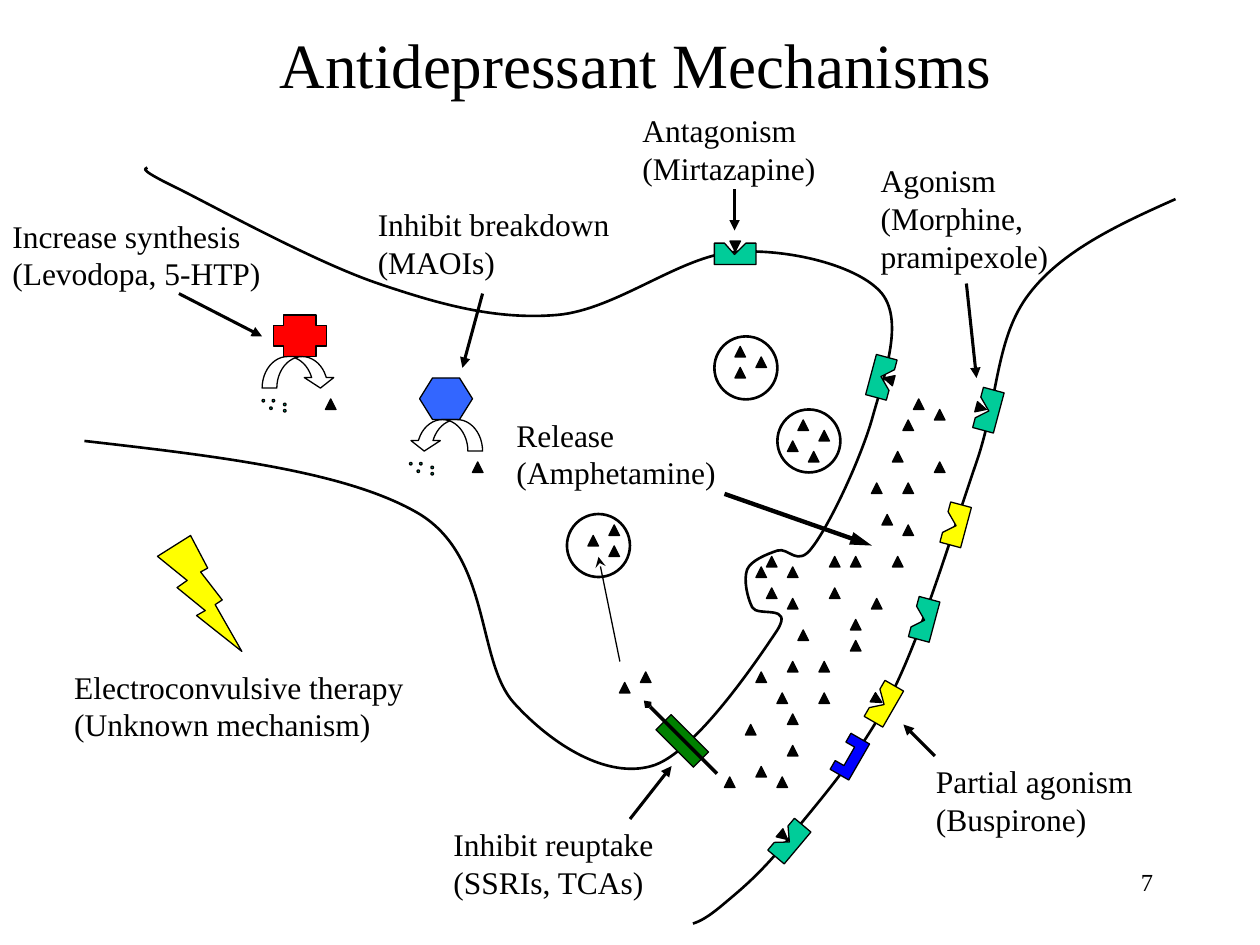
from math import cos, radians, sin

from lxml import etree
from pptx import Presentation
from pptx.dml.color import RGBColor
from pptx.enum.shapes import MSO_CONNECTOR, MSO_SHAPE
from pptx.enum.text import MSO_ANCHOR, PP_ALIGN
from pptx.oxml.ns import qn
from pptx.util import Inches, Pt

STRAIGHT = MSO_CONNECTOR.STRAIGHT
OVAL = MSO_SHAPE.OVAL
TRIANGLE = MSO_SHAPE.ISOSCELES_TRIANGLE
CURVED_ARROW = MSO_SHAPE.CURVED_UP_ARROW
LEFT, CENTER, RIGHT = PP_ALIGN.LEFT, PP_ALIGN.CENTER, PP_ALIGN.RIGHT
TOP, MIDDLE = MSO_ANCHOR.TOP, MSO_ANCHOR.MIDDLE

FONT = "Times New Roman"
COLORS = {
    "black": "000000", "white": "FFFFFF", "teal": "00CC99", "yellow": "FFFF00",
    "blue": "0000FF", "sky": "3366FF", "red": "FF0000", "green": "008000",
}
GRID = 1 / 12  # transmitters sit on a grid of twelfths of an inch
RECEPTOR_SIZE = (0.33, 0.17)

# Each membrane: a start point, then three points per Bezier segment
PRESYNAPTIC = [
    (0.67, 3.5),
    (1.72, 3.62), (2.76, 3.74), (3.33, 4.08), (3.9, 4.43), (3.78, 5.25), (4.08, 5.58),
    (4.39, 5.92), (4.82, 6.18), (5.17, 6.08), (5.51, 5.99), (6.03, 5.21), (6.17, 5),
    (6.3, 4.79), (6.01, 4.9), (5.97, 4.82), (5.93, 4.74), (5.9, 4.6), (5.93, 4.52),
    (5.96, 4.45), (6.08, 4.4), (6.17, 4.37), (6.26, 4.34), (6.33, 4.51), (6.45, 4.34),
    (6.58, 4.17), (6.82, 3.67), (6.92, 3.33), (7.01, 3), (7.18, 2.56), (7, 2.33),
    (6.82, 2.11), (6.26, 1.97), (5.83, 2), (5.4, 2.03), (4.89, 2.46), (4.42, 2.5),
    (3.94, 2.54), (3.5, 2.42), (3, 2.25), (2.5, 2.08), (1.72, 1.65), (1.42, 1.5),
    (1.11, 1.35), (1.14, 1.34), (1.17, 1.33),
]
POSTSYNAPTIC = [
    (9.33, 1.58),
    (8.88, 1.78), (8.43, 1.99), (8.17, 2.33), (7.9, 2.68), (7.93, 3.14), (7.75, 3.67),
    (7.57, 4.19), (7.33, 5), (7.08, 5.5), (6.83, 6), (6.47, 6.39), (6.25, 6.67),
    (6.03, 6.94), (5.88, 7.06), (5.75, 7.17), (5.62, 7.28), (5.56, 7.31), (5.5, 7.33),
]

VESICLES = [(4.5, 4.08), (5.67, 2.67), (6.17, 3.25)]

# Column and row on the grid
TRANSMITTERS = [
    # in the vesicles
    (58, 52), (56, 51), (58, 50), (70, 35), (72, 34), (70, 33),
    (75, 42), (76, 40), (77, 43), (78, 41),
    # inside the neuron
    (61, 64), (59, 65), (31, 38), (45, 44),
    # in the synaptic cleft
    (75, 54), (72, 54), (75, 68), (69, 74), (81, 53), (78, 66), (84, 49),
    (86, 46), (89, 39), (83, 57), (74, 74), (76, 60), (79, 56), (85, 53),
    (73, 56), (73, 53), (75, 63), (79, 53), (75, 57), (89, 44), (71, 69),
    (83, 46), (81, 61), (81, 59), (74, 66), (75, 71), (86, 40), (86, 50),
    (78, 63), (72, 64), (72, 73), (85, 43), (87, 38),
]

# Receptor outlines, notch at the top
NOTCHED = [(0, 0), (0.08, 0), (0.16, 0.09), (0.25, 0), (0.33, 0),
           (0.33, 0.17), (0, 0.17)]
BRACKET = [(0, 0), (0.08, 0), (0.08, 0.08), (0.25, 0.08), (0.25, 0),
           (0.33, 0), (0.33, 0.17), (0, 0.17)]

# Left, top, rotation, color, outline, transmitter bound
RECEPTORS = [
    (5.67, 1.93, 0, "teal", NOTCHED, True),
    (6.85, 5.5, 300, "yellow", NOTCHED, True),
    (6.1, 6.59, 310, "teal", NOTCHED, True),
    (7.68, 3.17, 285, "teal", NOTCHED, True),
    (7.42, 4.08, 285, "yellow", NOTCHED, False),
    (6.58, 5.92, 300, "blue", BRACKET, False),
    (7.17, 4.83, 285, "teal", NOTCHED, False),
    (6.83, 2.91, 105, "teal", NOTCHED, True),
]

# Precursor specks, relative to the first one
SPECKS = [(0, 0), (0.06, 0.06), (0.17, 0.08), (0.08, 0), (0.17, 0.03)]

# Box, lines
LABELS = [
    ((0, 1.67, 2.17, 0.7), ["Increase synthesis", "(Levodopa, 5-HTP)"]),
    ((2.9, 1.58, 2.04, 0.7), ["Inhibit breakdown", "(MAOIs)"]),
    ((5, 0.83, 1.58, 0.7), ["Antagonism", "(Mirtazapine)"]),
    ((6.89, 1.23, 1.55, 1.01), ["Agonism", "(Morphine,", "pramipexole)"]),
    ((7.33, 6, 1.76, 0.7), ["Partial agonism", "(Buspirone)"]),
    ((4, 3.25, 1.78, 0.7), ["Release", "(Amphetamine)"]),
    ((3.5, 6.5, 1.79, 0.7), ["Inhibit reuptake", "(SSRIs, TCAs)"]),
    ((0.49, 5.25, 2.82, 0.7), ["Electroconvulsive therapy", "(Unknown mechanism)"]),
]

# From, to, width, head, head width, head length
ARROWS = [
    ((5.69, 6.14), (5.11, 5.56), 2, "arrow", "sm", "sm"),
    ((4.92, 5.25), (4.75, 4.42), 0.75, "stealth", "med", "med"),
    ((1.42, 2.33), (2.08, 2.67), 1.75, "triangle", "med", "med"),
    ((3.83, 2.33), (3.67, 2.92), 1.75, "triangle", "med", "med"),
    ((5.83, 1.5), (5.83, 1.83), 1.75, "triangle", "med", "med"),
    ((7.67, 2.25), (7.75, 3), 1.75, "triangle", "med", "med"),
    ((7.42, 6), (7.17, 5.75), 1.75, "triangle", "med", "med"),
    ((5.75, 3.92), (6.92, 4.33), 2.5, "triangle", "med", "lg"),
    ((5, 6.5), (5.33, 6.08), 1.75, "triangle", "med", "med"),
]


def rgb(name):
    return RGBColor.from_string(COLORS[name])


def style(shape, fill=None, width=0.75):
    shape.shadow.inherit = False
    if fill:
        shape.fill.solid()
        shape.fill.fore_color.rgb = rgb(fill)
    else:
        shape.fill.background()
    shape.line.color.rgb = rgb("black")
    shape.line.width = Pt(width)


def add_preset(page, kind, at, fill=None, width=0.75, rotation=0, adjust=()):
    shape = page.shapes.add_shape(kind, *map(Inches, at))
    shape.rotation = rotation
    for index, value in enumerate(adjust):
        shape.adjustments[index] = value
    style(shape, fill, width)
    return shape


def add_outline(page, points, fill=None, width=0.75, close=True):
    start, *rest = [(Inches(x), Inches(y)) for x, y in points]
    builder = page.shapes.build_freeform(*start)
    builder.add_line_segments(rest, close=close)
    shape = builder.convert_to_shape()
    style(shape, fill, width)
    return shape


def add_membrane(page, points):
    shape = add_outline(page, points, width=1.5, close=False)
    # Every three straight segments become one Bezier segment
    segments = list(shape.element.iter(qn("a:lnTo")))
    for index in range(0, len(segments), 3):
        curve = etree.Element(qn("a:cubicBezTo"))
        segments[index].addprevious(curve)
        for segment in segments[index:index + 3]:
            curve.append(segment[0])
            segment.getparent().remove(segment)


def add_transmitter(page, left, top, rotation=0):
    add_preset(page, TRIANGLE, (left, top, GRID, GRID), "black", rotation=rotation)


def add_receptor(page, left, top, rotation, fill, outline, bound):
    shape = add_outline(page, [(left + x, top + y) for x, y in outline], fill)
    shape.rotation = rotation
    if bound:
        # The transmitter points into the notch
        angle = radians(rotation)
        x = left + RECEPTOR_SIZE[0] / 2 + 0.06 * sin(angle)
        y = top + RECEPTOR_SIZE[1] / 2 - 0.06 * cos(angle)
        add_transmitter(page, x - GRID / 2, y - GRID / 2, (rotation + 180) % 360)


def add_reaction(page, left, top, flip):
    arrow = add_preset(page, CURVED_ARROW, (left, top, 0.58, 0.25), rotation=180,
                       adjust=(0.467, 0.933, 0.333))
    if flip:
        arrow.element.spPr.find(qn("a:xfrm")).set("flipH", "1")
    for x, y in SPECKS:
        add_preset(page, OVAL, (left + x, top + 0.34 + y, 0.02, 0.02), "teal")


def add_arrow(page, start, end, width, head, head_width, head_length):
    arrow = page.shapes.add_connector(STRAIGHT, *map(Inches, start + end))
    arrow.line.color.rgb = rgb("black")
    arrow.line.width = Pt(width)
    line = arrow.element.spPr.find(qn("a:ln"))
    etree.SubElement(line, qn("a:tailEnd"), type=head, w=head_width, len=head_length)
    etree.SubElement(arrow.element.spPr, qn("a:effectLst"))


def add_text(page, at, lines, size=18, align=LEFT, anchor=TOP, wrap=False):
    frame = page.shapes.add_textbox(*map(Inches, at)).text_frame
    frame.word_wrap = wrap
    frame.vertical_anchor = anchor
    for index, line in enumerate(lines):
        para = frame.add_paragraph() if index else frame.paragraphs[0]
        para.alignment = align
        span = para.add_run()
        span.text = line
        span.font.name = FONT
        span.font.size = Pt(size)
        span.font.color.rgb = rgb("black")


def main():
    deck = Presentation()
    deck.slide_width, deck.slide_height = Inches(10), Inches(7.5)
    page = deck.slides.add_slide(deck.slide_layouts[6])

    add_text(page, (1.42, 0, 7.25, 1), ["Antidepressant Mechanisms"], 36,
             CENTER, MIDDLE, True)

    # Neurons, vesicles and receptors
    for points in (PRESYNAPTIC, POSTSYNAPTIC):
        add_membrane(page, points)
    for left, top in VESICLES:
        add_preset(page, OVAL, (left, top, 0.5, 0.5), "white", 1.5)
    for receptor in RECEPTORS:
        add_receptor(page, *receptor)

    # Reuptake pump, enzymes and shock therapy
    add_preset(page, MSO_SHAPE.RECTANGLE, (5.33, 5.67, 0.17, 0.42), "green", rotation=315)
    add_preset(page, MSO_SHAPE.CROSS, (2.17, 2.5, 0.42, 0.33), "red", adjust=(0.25,))
    add_preset(page, MSO_SHAPE.HEXAGON, (3.33, 3, 0.42, 0.33), "sky", adjust=(0.312,))
    add_reaction(page, 2.08, 2.83, True)
    add_reaction(page, 3.25, 3.33, False)
    add_preset(page, MSO_SHAPE.LIGHTNING_BOLT, (1.25, 4.25, 0.67, 0.92), "yellow")

    for column, row in TRANSMITTERS:
        add_transmitter(page, column * GRID, row * GRID)

    # Labels and arrows
    for at, lines in LABELS:
        add_text(page, at, lines)
    for arrow in ARROWS:
        add_arrow(page, *arrow)

    add_text(page, (7.17, 6.83, 2.08, 0.5), ["7"], 14, RIGHT, wrap=True)
    deck.save("out.pptx")


if __name__ == "__main__":
    main()
